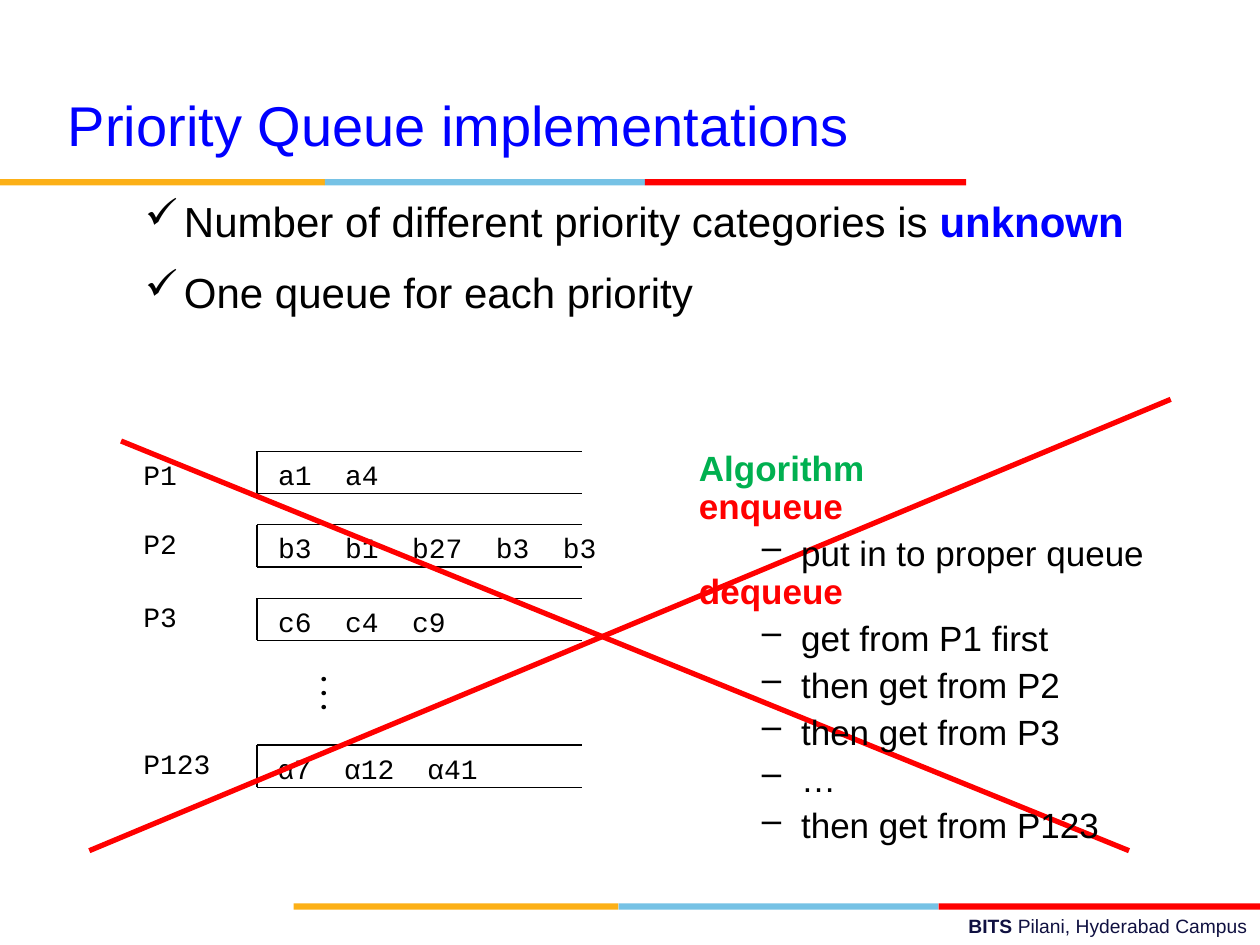
"""Build the slide on priority queues with one queue per priority."""
from itertools import groupby

from lxml import etree
from pptx import Presentation
from pptx import util as u
from pptx.dml.color import RGBColor
from pptx.enum import shapes, text
from pptx.oxml.ns import qn

BLACK = RGBColor(0, 0, 0)
BLUE = RGBColor(0, 0, 255)
RED = RGBColor(255, 0, 0)
GREEN = RGBColor(0, 0xB0, 0x50)
GOLD = RGBColor(0xFC, 0xB0, 0x17)
SKY = RGBColor(0x76, 0xC2, 0xE5)
NAVY = RGBColor(0x10, 0x11, 0x41)
MONO = "Courier New"

deck = Presentation()
deck.slide_width, deck.slide_height = u.Cm(25.4), u.Cm(19.05)
slide = deck.slides.add_slide(deck.slide_layouts[6])


def box(left, top, width, height, wrap=True, grow=True):
    frame = slide.shapes.add_textbox(*map(u.Cm, (left, top, width, height))).text_frame
    frame.word_wrap = wrap
    fit = text.MSO_AUTO_SIZE
    frame.auto_size = fit.SHAPE_TO_FIT_TEXT if grow else fit.NONE
    return frame


def write(frame, words, size=16, font="Arial", color=BLACK, bold=False, join=False,
          gap=0, space=None, align=None, left=0, hang=0, mark=None):
    para = frame.paragraphs[-1]
    if not join:
        if para.runs:
            para = frame.add_paragraph()
            para.space_before = u.Pt(gap)
        para.alignment = align
        if space:
            para.line_spacing = space
        props = para._p.get_or_add_pPr()
        if hang:
            props.set("marL", str(u.Cm(left)))
            props.set("indent", str(-u.Cm(hang)))
        if mark:
            para.level = 1
            tint = etree.SubElement(props, qn("a:buClr"))
            etree.SubElement(tint, qn("a:srgbClr"), val=str(BLACK))
            etree.SubElement(props, qn("a:buChar"), char=mark)
    run = para.add_run()
    run.text = words
    run.font.size, run.font.name, run.font.bold = u.Pt(size), font, bold
    run.font.color.rgb = color


for start, top in ((0, 3.61), (5.92, 18.21)):
    for color, width in ((GOLD, 6.55), (SKY, 6.45), (RED, 6.48)):
        bar = slide.shapes.add_shape(shapes.MSO_SHAPE.RECTANGLE, u.Cm(start), u.Cm(top),
                                     u.Cm(width), u.Cm(0.13))
        bar.shadow.inherit = False
        bar.fill.solid()
        bar.fill.fore_color.rgb = color
        bar.line.fill.background()
        start += width

foot = box(9.09, 18.31, 16.31, 0.74)
write(foot, "BITS ", size=11, color=NAVY, bold=True, align=text.PP_ALIGN.RIGHT)
write(foot, "Pilani, Hyderabad Campus", size=11, color=NAVY, join=True)

queues = (
    (0, "P1", "a1  a4", 2.54),
    (1, "P2", "b3  b1  b27  b3  b3", 6.93),
    (2, "P3", "c6  c4  c9", 3.89),
    (4, "P123", "α7  α12  α41", 4.6),
)
back, front = 5.18, 11.73
lines = []
for row, name, items, width in queues:
    top = 9.1 + 1.48 * row
    base = top + 0.85
    write(box(2.64, top - 0.09 * (row > 0), 1.91, 0.94), name, font=MONO)
    frame = box(5.36, top, width, 0.94, wrap=False)
    for greek, chars in groupby(items, lambda char: char == "α"):
        write(frame, "".join(chars), font="Arial" if greek else MONO,
              join=bool(frame.paragraphs[0].runs))
    lines += [
        (back, top, front, top, BLACK, 0.75),
        (back, base, front, base, BLACK, 0.75),
        (back, top, back, base, BLACK, 0.75),
    ]

dots = box(6.22, 13.51, 0.66, 0.94, wrap=False)
for dot in "...":
    write(dots, dot, font="Karla", bold=True, gap=4, space=0.2)

lines += [
    (1.8, 17.15, 23.6, 8.05, RED, 3),
    (2.44, 8.89, 22.76, 17.15, RED, 3),
]
for *ends, color, weight in lines:
    line = slide.shapes.add_connector(shapes.MSO_CONNECTOR.STRAIGHT, *map(u.Cm, ends))
    line.line.color.rgb = color
    line.line.width = u.Pt(weight)
    etree.SubElement(line._element.spPr, qn("a:effectLst"))

steps = box(13.84, 9.1, 10.36, 8.05, grow=False)
heads = {"Algorithm": GREEN, "enqueue": RED, "dequeue": RED}
for words in ("Algorithm", "enqueue", "put in to proper queue", "dequeue",
              "get from P1 first", "then get from P2", "then get from P3", "…",
              "then get from P123"):
    if words in heads:
        write(steps, words, size=20, color=heads[words], bold=True, gap=5, space=0.7,
              left=0.95, hang=0.95)
    else:
        write(steps, words, size=20, gap=10, space=0.7, left=2.06, hang=0.79, mark="–")

body = box(1.4, 3.81, 23.8, 12.5, grow=False)
point = dict(size=24, gap=12, left=2.06, hang=0.79, mark="✓")
write(body, "Number of different priority categories is ", **point)
write(body, "unknown", size=24, color=BLUE, bold=True, join=True)
write(body, "One queue for each priority", **point)

title = box(1.12, 1.7, 16.28, 1.63, wrap=False)
write(title, "Priority Queue implementations", size=32, color=BLUE)

deck.save("out.pptx")
